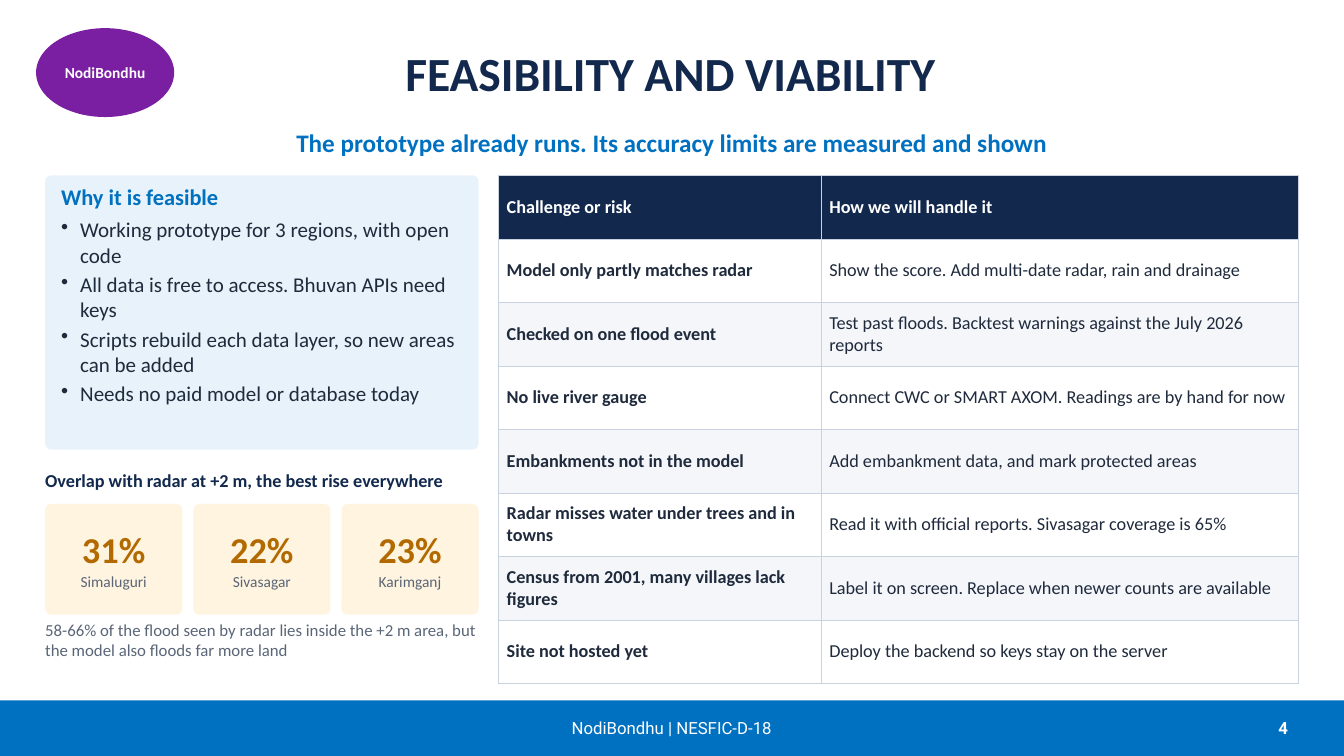
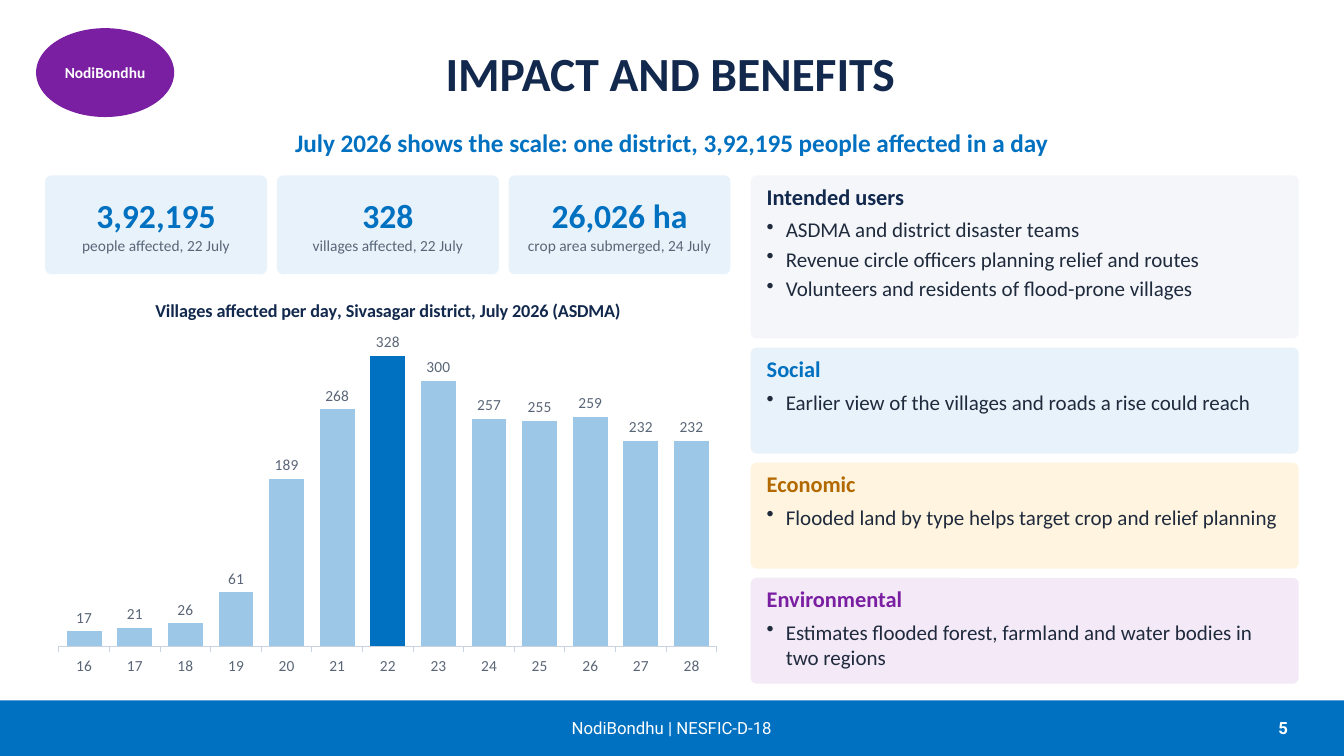
from lxml import etree
from pptx import Presentation
from pptx.chart.data import CategoryChartData
from pptx.dml.color import RGBColor
from pptx.enum.chart import XL_CHART_TYPE, XL_LABEL_POSITION, XL_TICK_MARK
from pptx.enum.shapes import MSO_SHAPE
from pptx.enum.text import MSO_ANCHOR, PP_ALIGN
from pptx.oxml.ns import qn
from pptx.util import Cm, Pt

LEFT, CENTER, RIGHT = PP_ALIGN.LEFT, PP_ALIGN.CENTER, PP_ALIGN.RIGHT
TOP, MIDDLE = MSO_ANCHOR.TOP, MSO_ANCHOR.MIDDLE
RECTANGLE, ROUNDED, OVAL = MSO_SHAPE.RECTANGLE, MSO_SHAPE.ROUNDED_RECTANGLE, MSO_SHAPE.OVAL
COLUMNS, OUTSIDE_END = XL_CHART_TYPE.COLUMN_CLUSTERED, XL_LABEL_POSITION.OUTSIDE_END
TICK_OUT = XL_TICK_MARK.OUTSIDE

COLORS = {
    "white": "FFFFFF", "navy": "12294D", "blue": "0070C0", "purple": "7B1FA2",
    "amber": "B26A00", "ink": "1F2A3C", "muted": "5A6678", "line": "C9D3E0",
    "bar": "9CC7E6", "pale_grey": "F4F6FA", "pale_blue": "E8F2FA",
    "pale_amber": "FFF4DF", "pale_purple": "F3E9F7",
}
BODY_FONT, FOOTER_FONT = "Calibri", "Roboto"

# All lengths below are centimetres.
PAGE_W, PAGE_H = 33.87, 19.05
MARGIN = 1.14
CONTENT_W = PAGE_W - 2 * MARGIN
BODY_TOP, BODY_H = 4.42, 12.8
FOOTER_H = 1.4
COLUMN_GAP = 0.51
CORNER_RADIUS = 0.15
NO_INSETS, TEXT_INSETS = (0, 0), (0.25, 0.13)
PANEL_INSETS, CARD_INSETS, CELL_INSETS = (0.36, 0.15), (0.15, 0.15), (0.2, 0.1)
BULLET_INDENT = 0.48

PROJECT = "NodiBondhu"
FOOTER_TEXT = f"{PROJECT} | NESFIC-D-18"
FIRST_PAGE = 4

FEASIBLE_POINTS = [
    "Working prototype for 3 regions, with open code",
    "All data is free to access. Bhuvan APIs need keys",
    "Scripts rebuild each data layer, so new areas can be added",
    "Needs no paid model or database today",
]
OVERLAPS = [("31%", "Simaluguri"), ("22%", "Sivasagar"), ("23%", "Karimganj")]
RISKS = [
    ("Challenge or risk", "How we will handle it"),
    ("Model only partly matches radar", "Show the score. Add multi-date radar, rain and drainage"),
    ("Checked on one flood event",
     "Test past floods. Backtest warnings against the July 2026 reports"),
    ("No live river gauge", "Connect CWC or SMART AXOM. Readings are by hand for now"),
    ("Embankments not in the model", "Add embankment data, and mark protected areas"),
    ("Radar misses water under trees and in towns",
     "Read it with official reports. Sivasagar coverage is 65%"),
    ("Census from 2001, many villages lack figures",
     "Label it on screen. Replace when newer counts are available"),
    ("Site not hosted yet", "Deploy the backend so keys stay on the server"),
]
FLOOD_STATS = [
    ("3,92,195", "people affected, 22 July"),
    ("328", "villages affected, 22 July"),
    ("26,026 ha", "crop area submerged, 24 July"),
]
FIRST_DAY, PEAK_DAY = 16, 22
VILLAGES_PER_DAY = [17, 21, 26, 61, 189, 268, 328, 300, 257, 255, 259, 232, 232]
BENEFITS = [  # heading, heading colour, fill, height, points
    ("Intended users", "navy", "pale_grey", 4.11, [
        "ASDMA and district disaster teams",
        "Revenue circle officers planning relief and routes",
        "Volunteers and residents of flood-prone villages",
    ]),
    ("Social", "blue", "pale_blue", 2.67,
     ["Earlier view of the villages and roads a rise could reach"]),
    ("Economic", "amber", "pale_amber", 2.67,
     ["Flooded land by type helps target crop and relief planning"]),
    ("Environmental", "purple", "pale_purple", 2.67,
     ["Estimates flooded forest, farmland and water bodies in two regions"]),
]


def rgb(name):
    return RGBColor.from_string(COLORS[name])


def box(left, top, width, height):
    return Cm(left), Cm(top), Cm(width), Cm(height)


def style_font(font, size, color, bold=False, name=BODY_FONT):
    font.size, font.bold, font.name = Pt(size), bold, name
    font.color.rgb = rgb(color)


def write(frame, text, *, size, color, bold=False, font=BODY_FONT, align=LEFT,
          after=0, bullet=False):
    """Fill the frame's empty first paragraph, or add one after the others."""
    first = frame.paragraphs[0]
    paragraph = frame.add_paragraph() if first.runs else first
    if bullet:
        properties = paragraph._p.get_or_add_pPr()
        properties.set("marL", str(Cm(BULLET_INDENT)))
        properties.set("indent", str(-Cm(BULLET_INDENT)))
        etree.SubElement(properties, qn("a:buChar")).set("char", "•")
    paragraph.alignment = align
    paragraph.space_after = Pt(after)
    run = paragraph.add_run()
    run.text = text
    style_font(run.font, size, color, bold, font)


def set_insets(target, insets):
    side, end = map(Cm, insets)
    target.margin_left = target.margin_right = side
    target.margin_top = target.margin_bottom = end


def prepare_frame(shape, insets, anchor):
    frame = shape.text_frame
    frame.word_wrap = True
    frame.vertical_anchor = anchor
    set_insets(frame, insets)
    return frame


def add_label(slide, area, text, *, insets=NO_INSETS, anchor=MIDDLE, **text_format):
    label = slide.shapes.add_textbox(*box(*area))
    write(prepare_frame(label, insets, anchor), text, **text_format)


def add_block(slide, area, fill, kind=ROUNDED, insets=NO_INSETS, anchor=MIDDLE):
    """Draw a flat filled shape and return its text frame."""
    block = slide.shapes.add_shape(kind, *box(*area))
    block.shadow.inherit = False
    block.fill.solid()
    block.fill.fore_color.rgb = rgb(fill)
    block.line.fill.background()
    if kind == ROUNDED:
        block.adjustments[0] = CORNER_RADIUS / min(area[2:])
    return prepare_frame(block, insets, anchor)


def add_base_slide(deck, page, title, subtitle):
    slide = deck.slides.add_slide(deck.slide_layouts[6])
    footer_top = PAGE_H - FOOTER_H
    add_block(slide, (0, footer_top, PAGE_W, FOOTER_H), "blue", RECTANGLE)
    add_label(slide, (4.83, 0.71, 24.13, 2.24), title, insets=TEXT_INSETS,
              size=34, color="navy", bold=True, align=CENTER)
    add_label(slide, (29.46, footer_top, 3.25, FOOTER_H), str(page), insets=TEXT_INSETS,
              size=12, color="white", bold=True, font=FOOTER_FONT, align=RIGHT)
    add_label(slide, (10.16, footer_top, 13.54, FOOTER_H), FOOTER_TEXT, insets=TEXT_INSETS,
              size=12, color="white", font=FOOTER_FONT, align=CENTER)
    badge = add_block(slide, (0.91, 0.71, 3.48, 2.24), "purple", OVAL)
    write(badge, PROJECT, size=11, color="white", bold=True, align=CENTER)
    add_label(slide, (MARGIN, 3.05, CONTENT_W, 1.07), subtitle,
              size=18, color="blue", bold=True, align=CENTER)
    return slide


def add_panel(slide, area, heading, color, fill, points):
    frame = add_block(slide, area, fill, insets=PANEL_INSETS, anchor=TOP)
    write(frame, heading, size=16, color=color, bold=True, after=5)
    for point in points:
        write(frame, point, size=15, color="ink", after=3, bullet=True)


def add_stat_cards(slide, area, stats, *, gap, size, color, fill):
    left, top, width, height = area
    card_w = (width - gap * (len(stats) - 1)) / len(stats)
    for index, (value, caption) in enumerate(stats):
        card = (left + index * (card_w + gap), top, card_w, height)
        frame = add_block(slide, card, fill, insets=CARD_INSETS)
        write(frame, value, size=size, color=color, bold=True, align=CENTER, after=1)
        write(frame, caption, size=11, color="muted", align=CENTER)


def add_cell_borders(cell):
    properties = cell._tc.get_or_add_tcPr()
    for side in ("a:lnL", "a:lnR", "a:lnT", "a:lnB"):
        line = etree.SubElement(properties, qn(side), w=str(Pt(0.5)))
        fill = etree.SubElement(line, qn("a:solidFill"))
        etree.SubElement(fill, qn("a:srgbClr"), val=COLORS["line"])


def add_risk_table(slide, area):
    left_column_w = 8.13
    table = slide.shapes.add_table(len(RISKS), 2, *box(*area)).table
    table.first_row = table.horz_banding = False
    table.columns[0].width = Cm(left_column_w)
    table.columns[1].width = Cm(area[2] - left_column_w)
    for row, texts in enumerate(RISKS):
        table.rows[row].height = Cm(area[3] / len(RISKS))
        header = row == 0
        fill = "navy" if header else ("pale_grey", "white")[row % 2]
        for column, text in enumerate(texts):
            cell = table.cell(row, column)
            add_cell_borders(cell)
            cell.fill.solid()
            cell.fill.fore_color.rgb = rgb(fill)
            cell.vertical_anchor = MIDDLE
            set_insets(cell, CELL_INSETS)
            write(cell.text_frame, text, size=13, color="white" if header else "ink",
                  bold=header or column == 0)


def add_village_chart(slide, area):
    data = CategoryChartData()
    data.categories = [str(FIRST_DAY + day) for day in range(len(VILLAGES_PER_DAY))]
    data.add_series("Villages affected", VILLAGES_PER_DAY)
    chart = slide.shapes.add_chart(COLUMNS, *box(*area), data).chart
    style_font(chart.font, 11, "muted")
    chart.has_legend = False
    chart.has_title = True
    write(chart.chart_title.text_frame,
          "Villages affected per day, Sivasagar district, July 2026 (ASDMA)",
          size=13, color="navy", bold=True, align=CENTER)

    days, counts = chart.category_axis, chart.value_axis
    days.major_tick_mark = TICK_OUT
    days.format.line.color.rgb = rgb("line")
    days.format.line.width = Pt(0.75)
    counts.visible = counts.has_major_gridlines = False
    counts.minimum_scale = 0

    plot = chart.plots[0]
    plot.gap_width = 45
    plot.vary_by_categories = False
    plot.has_data_labels = True
    labels = plot.data_labels
    labels.show_value = True
    labels.position = OUTSIDE_END
    style_font(labels.font, 11, "muted")
    bars = plot.series[0]
    peak = bars.points[PEAK_DAY - FIRST_DAY]
    for part, color in ((bars, "bar"), (peak, "blue")):
        part.format.fill.solid()
        part.format.fill.fore_color.rgb = rgb(color)


def add_feasibility_slide(deck, page):
    slide = add_base_slide(
        deck, page, "FEASIBILITY AND VIABILITY",
        "The prototype already runs. Its accuracy limits are measured and shown")
    width = 10.92
    add_panel(slide, (MARGIN, BODY_TOP, width, 6.91), "Why it is feasible",
              "blue", "pale_blue", FEASIBLE_POINTS)
    add_label(slide, (MARGIN, 11.58, width, 1.02),
              "Overlap with radar at +2 m, the best rise everywhere",
              size=13, color="navy", bold=True)
    add_stat_cards(slide, (MARGIN, 12.7, width, 2.79), OVERLAPS,
                   gap=0.28, size=26, color="amber", fill="pale_amber")
    add_label(slide, (MARGIN, 15.62, width, 1.6),
              "58-66% of the flood seen by radar lies inside the +2 m area, "
              "but the model also floods far more land",
              anchor=TOP, size=12, color="muted")
    table_left = MARGIN + width + COLUMN_GAP
    add_risk_table(slide, (table_left, BODY_TOP, PAGE_W - MARGIN - table_left, BODY_H))


def add_impact_slide(deck, page):
    slide = add_base_slide(
        deck, page, "IMPACT AND BENEFITS",
        "July 2026 shows the scale: one district, 3,92,195 people affected in a day")
    width, chart_top = 17.27, 7.11
    add_stat_cards(slide, (MARGIN, BODY_TOP, width, 2.49), FLOOD_STATS,
                   gap=0.25, size=24, color="blue", fill="pale_blue")
    add_village_chart(slide, (MARGIN, chart_top, width, BODY_TOP + BODY_H - chart_top))
    left, top, gap = MARGIN + width + COLUMN_GAP, BODY_TOP, 0.23
    for heading, color, fill, height, points in BENEFITS:
        add_panel(slide, (left, top, PAGE_W - MARGIN - left, height),
                  heading, color, fill, points)
        top += height + gap


def main():
    deck = Presentation()
    deck.slide_width, deck.slide_height = Cm(PAGE_W), Cm(PAGE_H)
    for page, add_page in enumerate((add_feasibility_slide, add_impact_slide), FIRST_PAGE):
        add_page(deck, page)
    deck.save("out.pptx")


if __name__ == "__main__":
    main()
